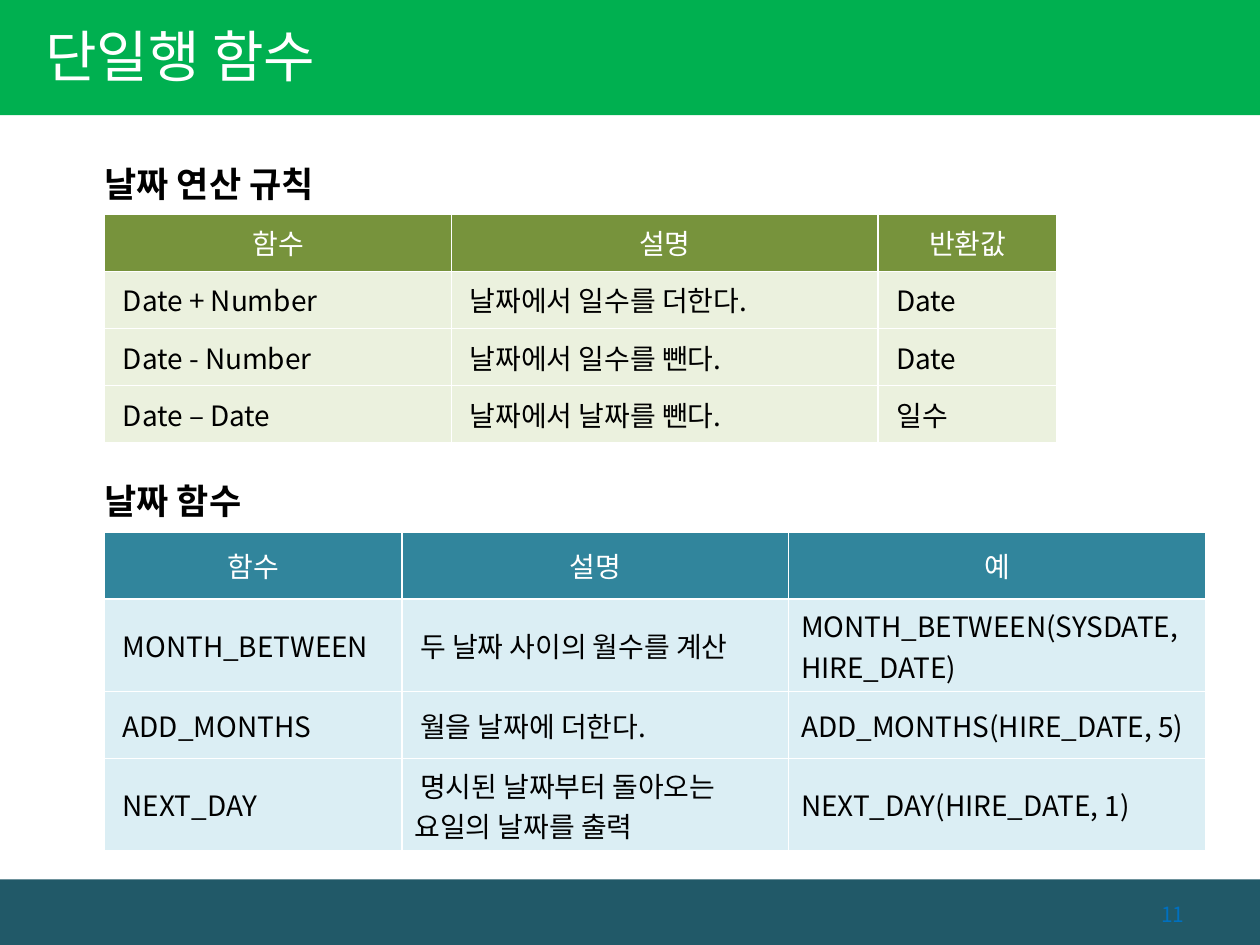
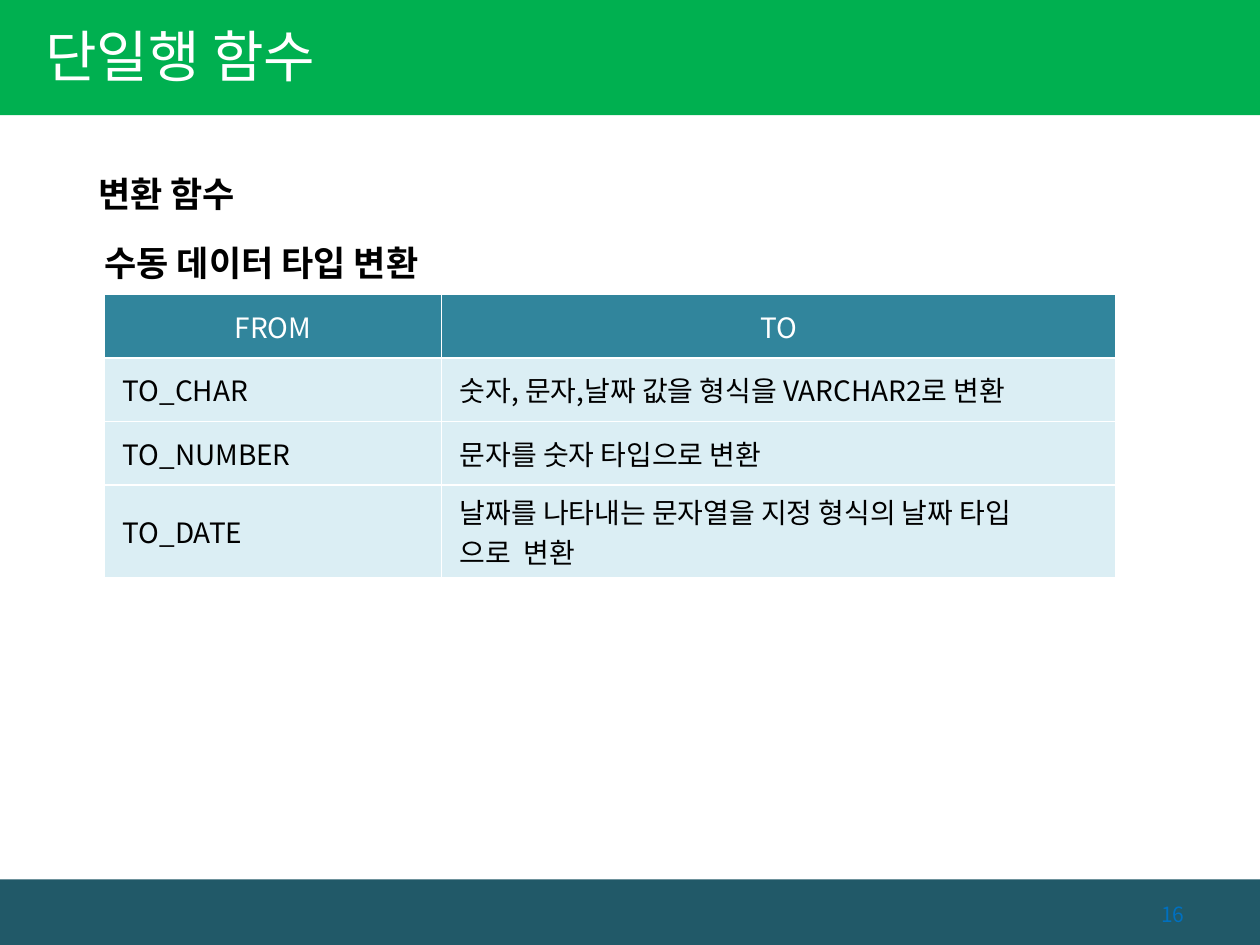
from dataclasses import dataclass

from lxml.etree import SubElement
from pptx import Presentation
from pptx.dml.color import RGBColor
from pptx.enum.shapes import MSO_SHAPE
from pptx.enum.text import MSO_ANCHOR, PP_ALIGN
from pptx.oxml.ns import qn
from pptx.slide import Slide
from pptx.table import _Cell
from pptx.text.text import _Paragraph
from pptx.util import Inches, Length, Pt

FONT = "Noto Sans CJK KR"
COLORS = {
    "white": "FFFFFF", "black": "000000", "blue": "0070C0",
    "title_band": "00B050", "footer_band": "215968",
    "olive": "77933C", "pale_olive": "EBF1DE",
    "teal": "31859C", "pale_teal": "DBEEF4",
}
COLUMNS, ROWS = 100, 75  # the slide grid, in cells of a tenth of an inch
TABLE_LEFT = 8.3
CELL_INDENT = 0.45
TWO_LINE_ROW = 7.35


@dataclass(frozen=True)
class Box:
    left: float
    top: float
    width: float
    height: float

    def lengths(self) -> tuple[Length, ...]:
        return tuple(map(grid, (self.left, self.top, self.width, self.height)))


@dataclass(frozen=True)
class Band:
    top: float
    height: float
    fill: str


@dataclass(frozen=True)
class TextStyle:
    size: float
    color: str = "black"
    bold: bool = False
    align: PP_ALIGN = PP_ALIGN.LEFT


@dataclass(frozen=True)
class Heading:
    text: str
    top: float
    left: float = TABLE_LEFT
    width: float = 43


@dataclass(frozen=True)
class FunctionTable:
    top: float
    columns: tuple[float, ...]
    rows: tuple[float, ...]
    cells: tuple[tuple[str, ...], ...]
    header_fill: str = "teal"
    body_fill: str = "pale_teal"
    indented_columns: int = 2


@dataclass(frozen=True)
class Page:
    number: int
    headings: tuple[Heading, ...]
    tables: tuple[FunctionTable, ...]


TITLE = "단일행 함수"
TITLE_STYLE = TextStyle(32, "white")
HEADING_STYLE = TextStyle(20, bold=True)
HEADER_STYLE = TextStyle(16, "white", align=PP_ALIGN.CENTER)
BODY_STYLE = TextStyle(16)
NUMBER_STYLE = TextStyle(12, "blue", align=PP_ALIGN.RIGHT)

BANDS = (Band(0, 9.15, "title_band"), Band(69.8, ROWS - 69.8, "footer_band"))

PAGES = (
    Page(
        11,
        (Heading("날짜 연산 규칙", 10.7), Heading("날짜 함수", 35.9)),
        (
            FunctionTable(
                17, (27.55, 33.85, 14.2), (4.53,) * 4,
                (
                    ("함수", "설명", "반환값"),
                    ("Date + Number", "날짜에서 일수를 더한다.", "Date"),
                    ("Date - Number", "날짜에서 일수를 뺀다.", "Date"),
                    ("Date – Date", "날짜에서 날짜를 뺀다.", "일수"),
                ),
                "olive", "pale_olive", indented_columns=3,
            ),
            FunctionTable(
                42.25, (23.6, 30.7, 33.1), (5.3, TWO_LINE_ROW, 5.3, TWO_LINE_ROW),
                (
                    ("함수", "설명", "예"),
                    ("MONTH_BETWEEN", "두 날짜 사이의 월수를 계산",
                     "MONTH_BETWEEN(SYSDATE, HIRE_DATE)"),
                    ("ADD_MONTHS", "월을 날짜에 더한다.", "ADD_MONTHS(HIRE_DATE, 5)"),
                    ("NEXT_DAY", "명시된 날짜부터 돌아오는 요일의 날짜를 출력",
                     "NEXT_DAY(HIRE_DATE, 1)"),
                ),
            ),
        ),
    ),
    Page(
        16,
        (Heading("변환 함수", 11.5, left=7.8), Heading("수동 데이터 타입 변환", 17)),
        (
            FunctionTable(
                23.35, (26.75, 53.5), (5.05, 5.05, 5.05, TWO_LINE_ROW),
                (
                    ("FROM", "TO"),
                    ("TO_CHAR", "숫자, 문자,날짜 값을 형식을 VARCHAR2로 변환"),
                    ("TO_NUMBER", "문자를 숫자 타입으로 변환"),
                    ("TO_DATE", "날짜를 나타내는 문자열을 지정 형식의 날짜 타입\n으로  변환"),
                ),
            ),
        ),
    ),
)


def grid(cells: float) -> Length:
    """Turn a number of grid cells into a length."""
    return Inches(cells / 10)


def color(name: str) -> RGBColor:
    return RGBColor.from_string(COLORS[name])


def style_paragraph(paragraph: _Paragraph, style: TextStyle) -> None:
    paragraph.alignment = style.align
    font = paragraph.font
    font.size = Pt(style.size)
    font.bold = style.bold
    font.color.rgb = color(style.color)
    font.name = FONT
    SubElement(font._element, qn("a:ea"), typeface=FONT)


def draw_band(slide: Slide, band: Band) -> None:
    box = Box(0, band.top, COLUMNS, band.height)
    shape = slide.shapes.add_shape(MSO_SHAPE.RECTANGLE, *box.lengths())
    shape.shadow.inherit = False
    shape.fill.solid()
    shape.fill.fore_color.rgb = color(band.fill)
    shape.line.fill.background()


def draw_text(slide: Slide, text: str, box: Box, style: TextStyle,
              anchor: MSO_ANCHOR = MSO_ANCHOR.MIDDLE) -> _Paragraph:
    frame = slide.shapes.add_textbox(*box.lengths()).text_frame
    frame.word_wrap = True
    frame.vertical_anchor = anchor
    frame.margin_left = frame.margin_right = 0
    frame.text = text
    paragraph = frame.paragraphs[0]
    style_paragraph(paragraph, style)
    return paragraph


def draw_heading(slide: Slide, heading: Heading) -> None:
    box = Box(heading.left, heading.top, heading.width, 5.5)
    paragraph = draw_text(slide, heading.text, box, HEADING_STYLE, MSO_ANCHOR.TOP)
    paragraph.line_spacing = 1.5
    paragraph.space_before = Pt(4)


def add_borders(cell: _Cell) -> None:
    properties = cell._tc.get_or_add_tcPr()
    for tag in ("a:lnL", "a:lnR", "a:lnT", "a:lnB"):
        line = SubElement(properties, qn(tag), w=str(Pt(1)))
        fill = SubElement(line, qn("a:solidFill"))
        SubElement(fill, qn("a:srgbClr"), val=COLORS["white"])


def fill_cell(cell: _Cell, text: str, fill: str, style: TextStyle,
              indented: bool) -> None:
    cell.text = text
    cell.vertical_anchor = MSO_ANCHOR.MIDDLE
    add_borders(cell)
    cell.fill.solid()
    cell.fill.fore_color.rgb = color(fill)
    for paragraph in cell.text_frame.paragraphs:
        style_paragraph(paragraph, style)
        if indented:
            paragraph._p.get_or_add_pPr().set("indent", str(grid(CELL_INDENT)))


def draw_table(slide: Slide, content: FunctionTable) -> None:
    box = Box(TABLE_LEFT, content.top, sum(content.columns), sum(content.rows))
    table = slide.shapes.add_table(
        len(content.rows), len(content.columns), *box.lengths()).table
    table.first_row = table.horz_banding = False
    for column, width in zip(table.columns, content.columns):
        column.width = grid(width)
    for row_index, (row, height) in enumerate(zip(table.rows, content.rows)):
        row.height = grid(height)
        header = row_index == 0
        fill = content.header_fill if header else content.body_fill
        style = HEADER_STYLE if header else BODY_STYLE
        for column_index, text in enumerate(content.cells[row_index]):
            indented = not header and column_index < content.indented_columns
            fill_cell(row.cells[column_index], text, fill, style, indented)


def draw_page(slide: Slide, page: Page) -> None:
    for band in BANDS:
        draw_band(slide, band)
    draw_text(slide, TITLE, Box(3.6, -0.3, 59, 9.4), TITLE_STYLE)
    draw_text(slide, str(page.number), Box(84, 70.55, 10, 4), NUMBER_STYLE)
    for heading in page.headings:
        draw_heading(slide, heading)
    for table in page.tables:
        draw_table(slide, table)


def main() -> None:
    presentation = Presentation()
    presentation.slide_width = grid(COLUMNS)
    presentation.slide_height = grid(ROWS)
    blank_layout = presentation.slide_layouts[6]
    for page in PAGES:
        draw_page(presentation.slides.add_slide(blank_layout), page)
    presentation.save("out.pptx")


if __name__ == "__main__":
    main()
